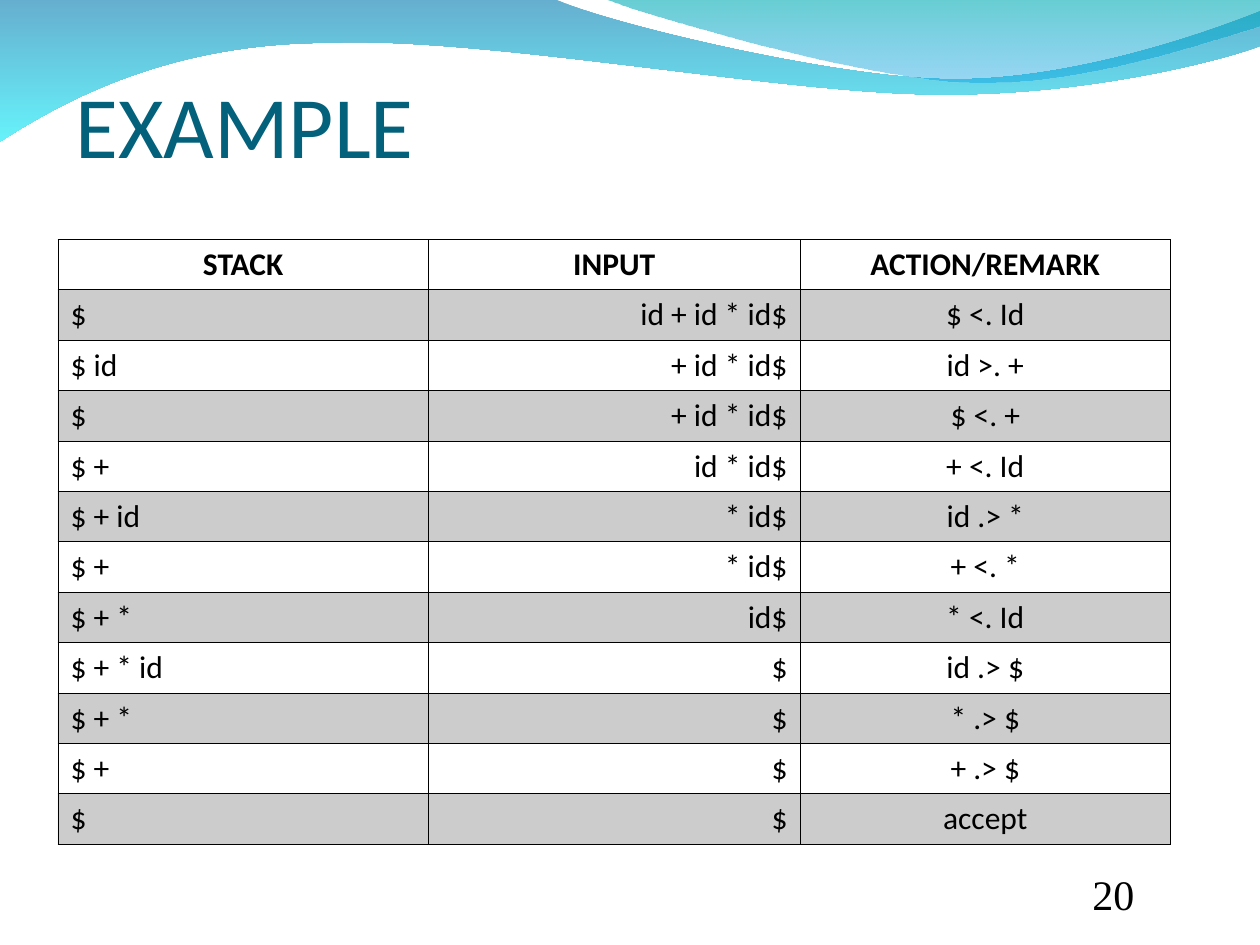
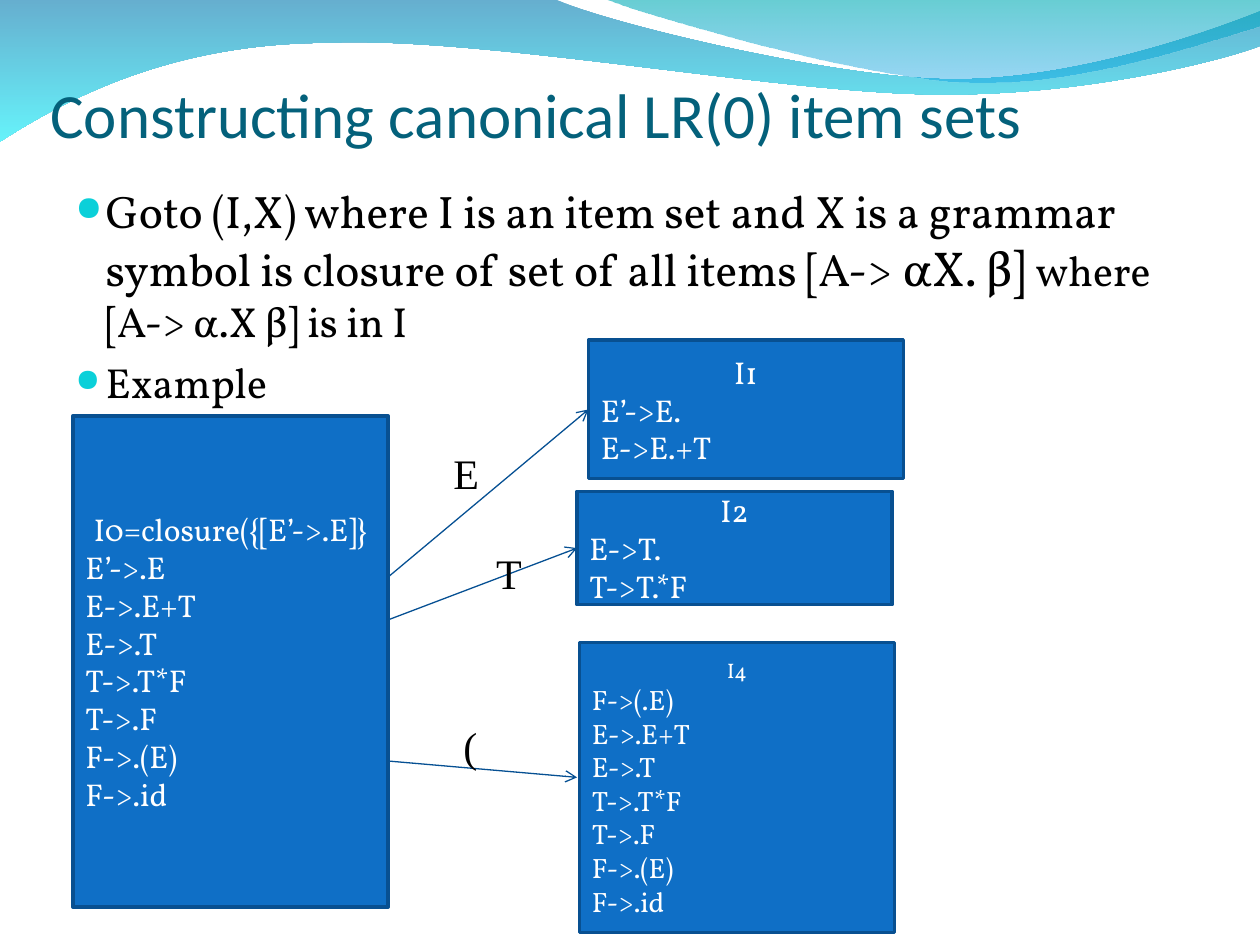
from lxml.etree import SubElement
from pptx import Presentation
from pptx.dml.color import RGBColor
from pptx.enum.shapes import MSO_CONNECTOR, MSO_SHAPE
from pptx.enum.text import MSO_ANCHOR, PP_ALIGN
from pptx.oxml.ns import qn
from pptx.util import Inches, Pt

BLACK, WHITE = "000000", "FFFFFF"
TITLE_COLOR = "04617B"
BULLET_COLOR = "0BD0D9"
BOX_FILL, BOX_LINE, ARROW_LINE = "0F6FC6", "085091", "065093"
HEADING_FONT, BODY_FONT, LABEL_FONT = "Calibri", "Vollkorn", "Times New Roman"

WAVES = [
    {
        "start": (0, -0.01),
        "segments": [
            [(4.4, -0.01)],
            [(4.76, 0.17), (6.64, 0.63), (7.58, 0.63)],
            [(8.53, 0.63), (9.58, 0.26), (10, 0.09)],
            [(10.01, 0.36)],
            [(9.83, 0.44), (8.7, 0.76), (7.46, 0.75)],
            [(6.22, 0.75), (3.82, 0.28), (2.57, 0.34)],
            [(1.29, 0.35), (0.46, 0.83), (-0.01, 1.13)],
            [(0, -0.01)],
        ],
        "stops": [("0079AF", 60), ("00EBF8", 60)],
    },
    {
        "start": (4.79, -0.01),
        "segments": [
            [(5.09, 0.11), (6.82, 0.62), (7.69, 0.65)],
            [(8.56, 0.69), (9.61, 0.32), (10, 0.21)],
            [(10, 0)],
            [(4.79, -0.01)],
        ],
        "stops": [("00ADB6", 60), ("009BE5", 40)],
    },
]

PARSE_STEPS = [
    ("STACK", "INPUT", "ACTION/REMARK"),
    ("$", "id + id * id$", "$ <. Id"),
    ("$ id", "+ id * id$", "id >. +"),
    ("$", "+ id * id$", "$ <. +"),
    ("$ +", "id * id$", "+ <. Id"),
    ("$ + id", "* id$", "id .> *"),
    ("$ +", "* id$", "+ <. *"),
    ("$ + *", "id$", "* <. Id"),
    ("$ + * id", "$", "id .> $"),
    ("$ + *", "$", "* .> $"),
    ("$ +", "$", "+ .> $"),
    ("$", "$", "accept"),
]

EXPANDED_ITEMS = ["E->.E+T", "E->.T", "T->.T*F", "T->.F", "F->.(E)", "F->.id"]

GOTO_RULE = [
    ("Goto (I,X) where I is an item set and X is a grammar symbol is closure "
     "of set of all items [A->", 26),
    (" αX. β] ", 28),
    ("where [A-> α.X β] is in I", 24),
]


def rgb(color):
    return RGBColor.from_string(color)


def apply(target, **values):
    for attribute, value in values.items():
        setattr(target, attribute, value)


def set_alpha(fill_element, percents):
    for color, percent in zip(fill_element.iter(qn("a:srgbClr")), percents):
        SubElement(color, qn("a:alpha"), val=str(percent * 1000))


def add_run(paragraph, text, size, font, color, bold=False):
    run = paragraph.add_run()
    run.text = text
    apply(run.font, name=font, size=Pt(size), bold=bold)
    run.font.color.rgb = rgb(color)


def set_insets(frame, left=0.1, top=0.05, right=0.1, bottom=0.05):
    apply(frame, margin_left=Inches(left), margin_top=Inches(top),
          margin_right=Inches(right), margin_bottom=Inches(bottom))


def add_text_frame(slide, bounds, wrap=True, anchor=MSO_ANCHOR.TOP):
    frame = slide.shapes.add_textbox(*map(Inches, bounds)).text_frame
    apply(frame, word_wrap=wrap, vertical_anchor=anchor)
    set_insets(frame)
    return frame


def add_title(slide, text, bounds, size):
    frame = add_text_frame(slide, bounds, anchor=MSO_ANCHOR.BOTTOM)
    set_insets(frame, 0, 0.05, 0, 0)
    add_run(frame.paragraphs[0], text, size, HEADING_FONT, TITLE_COLOR)


def add_page_number(slide, number):
    frame = add_text_frame(slide, (8.67, 6.95, 0.77, 0.34), anchor=MSO_ANCHOR.BOTTOM)
    set_insets(frame, 0, 0, 0, 0)
    add_run(frame.paragraphs[0], number, 24, LABEL_FONT, BLACK)


def bend_segments(wave, segments):
    lines = wave.element.findall(".//" + qn("a:lnTo"))
    outline = lines[0].getparent()
    remaining = iter(lines)
    for controls in segments:
        corners = [next(remaining) for _ in controls]
        if len(corners) == 3:
            curve = SubElement(outline, qn("a:cubicBezTo"))
            corners[0].addprevious(curve)
            for corner in corners:
                curve.append(corner[0])
                outline.remove(corner)


def add_wave(slide, start, segments, stops):
    outline = slide.shapes.build_freeform(*map(Inches, start))
    for controls in segments:
        outline.add_line_segments(
            [(Inches(x), Inches(y)) for x, y in controls], close=False)
    outline.add_line_segments([], close=True)
    wave = outline.convert_to_shape()
    bend_segments(wave, segments)
    wave.shadow.inherit = False
    wave.line.fill.background()
    wave.fill.gradient()
    wave.fill.gradient_angle = 270
    for stop, (color, _) in zip(wave.fill.gradient_stops, stops):
        stop.color.rgb = rgb(color)
    set_alpha(wave.element.spPr, [percent for _, percent in stops])


def add_wave_slide(deck):
    slide = deck.slides.add_slide(deck.slide_layouts[6])
    for wave in WAVES:
        add_wave(slide, **wave)
    return slide


def add_borders(cell, color, width):
    properties = cell._tc.get_or_add_tcPr()
    for side in ("a:lnL", "a:lnR", "a:lnT", "a:lnB"):
        border = SubElement(properties, qn(side), w=str(Pt(width)))
        SubElement(SubElement(border, qn("a:solidFill")), qn("a:srgbClr"), val=color)


def add_parse_table(slide, rows, left, top, widths, row_height):
    table = slide.shapes.add_table(
        len(rows), len(widths), Inches(left), Inches(top),
        Inches(sum(widths)), Inches(row_height * len(rows)),
    ).table
    apply(table, first_row=False, horz_banding=False)
    for column, width in zip(table.columns, widths):
        column.width = Inches(width)
    alignments = (PP_ALIGN.LEFT, PP_ALIGN.RIGHT, PP_ALIGN.CENTER)
    for row_index, row in enumerate(rows):
        table.rows[row_index].height = Inches(row_height)
        is_header = row_index == 0
        for column_index, text in enumerate(row):
            cell = table.cell(row_index, column_index)
            set_insets(cell)
            add_borders(cell, BLACK, 0.45)
            if row_index % 2:
                cell.fill.solid()
                cell.fill.fore_color.rgb = rgb(BLACK)
                set_alpha(cell._tc.tcPr.find(qn("a:solidFill")), [20])
            else:
                cell.fill.background()
            paragraph = cell.text_frame.paragraphs[0]
            alignment = PP_ALIGN.CENTER if is_header else alignments[column_index]
            apply(paragraph, alignment=alignment, line_spacing=0.97)
            add_run(paragraph, text, 18, HEADING_FONT, BLACK, is_header)


def add_bullets(slide, bounds, bullets):
    frame = add_text_frame(slide, bounds)
    for index, runs in enumerate(bullets):
        paragraph = frame.add_paragraph() if index else frame.paragraphs[0]
        paragraph.space_before = Pt(6)
        properties = paragraph._p.get_or_add_pPr()
        properties.set("marL", str(Inches(0.24)))
        properties.set("indent", str(Inches(-0.24)))
        SubElement(SubElement(properties, qn("a:buClr")), qn("a:srgbClr"), val=BULLET_COLOR)
        SubElement(properties, qn("a:buSzPct"), val="75000")
        SubElement(properties, qn("a:buChar"), char="●")
        for text, size in runs:
            add_run(paragraph, text, size, BODY_FONT, BLACK)


def add_item_set(slide, bounds, heading, items, heading_size=18, item_size=18):
    box = slide.shapes.add_shape(MSO_SHAPE.RECTANGLE, *map(Inches, bounds))
    box.shadow.inherit = False
    box.fill.solid()
    box.fill.fore_color.rgb = rgb(BOX_FILL)
    box.line.color.rgb = rgb(BOX_LINE)
    box.line.width = Pt(2)
    frame = box.text_frame
    apply(frame, word_wrap=True, vertical_anchor=MSO_ANCHOR.MIDDLE)
    set_insets(frame)
    frame.paragraphs[0].alignment = PP_ALIGN.CENTER
    add_run(frame.paragraphs[0], heading, heading_size, BODY_FONT, WHITE)
    for item in items:
        paragraph = frame.add_paragraph()
        paragraph.alignment = PP_ALIGN.LEFT
        add_run(paragraph, item, item_size, BODY_FONT, WHITE)
    return box


def add_transition(slide, start, end, symbol, symbol_bounds, target=None):
    arrow = slide.shapes.add_connector(
        MSO_CONNECTOR.STRAIGHT, *map(Inches, (*start, *end)))
    if target is not None:
        arrow.end_connect(target, 1)
    arrow.line.color.rgb = rgb(ARROW_LINE)
    arrow.line.width = Pt(0.75)
    SubElement(arrow.line._get_or_add_ln(), qn("a:tailEnd"), type="arrow")
    SubElement(arrow._element.spPr, qn("a:effectLst"))
    label = add_text_frame(slide, symbol_bounds, wrap=False)
    add_run(label.paragraphs[0], symbol, 24, LABEL_FONT, BLACK)


def build_parse_example(deck):
    slide = add_wave_slide(deck)
    add_page_number(slide, "20")
    add_title(slide, "EXAMPLE", (0.6, 0.5, 8.94, 0.9), 50)
    add_parse_table(slide, PARSE_STEPS, 0.46, 1.9, (2.94, 2.95, 2.94), 0.4)


def build_item_sets(deck):
    slide = add_wave_slide(deck)
    add_title(slide, "Constructing canonical LR(0) item sets", (0.4, 0.3, 9.1, 0.9), 36)
    add_bullets(slide, (0.5, 1.4, 9, 2.6), [GOTO_RULE, [("Example", 24)]])
    add_item_set(slide, (0.58, 3.3, 2.5, 3.9), "I0=closure({[E’->.E]}",
                 ["E’->.E", *EXPANDED_ITEMS])
    after_e = add_item_set(slide, (4.67, 2.7, 2.5, 1.1), "I1", ["E’->E.", "E->E.+T"])
    after_t = add_item_set(slide, (4.58, 3.9, 2.5, 0.9), "I2", ["E->T.", "T->T.*F"])
    add_item_set(slide, (4.6, 5.1, 2.5, 2.3), "I4", ["F->(.E)", *EXPANDED_ITEMS], 12, 16)
    add_transition(slide, (3.08, 4.58), (4.67, 3.25), "E", (3.5, 3.5, 0.4, 0.5), after_e)
    add_transition(slide, (3.08, 4.92), (4.58, 4.35), "T", (3.84, 4.3, 0.4, 0.5), after_t)
    add_transition(slide, (3.08, 6.04), (4.58, 6.17), "(", (3.58, 5.67, 0.31, 0.5))


def main():
    deck = Presentation()
    apply(deck, slide_width=Inches(10), slide_height=Inches(7.5))
    build_parse_example(deck)
    build_item_sets(deck)
    deck.save("out.pptx")


if __name__ == "__main__":
    main()
